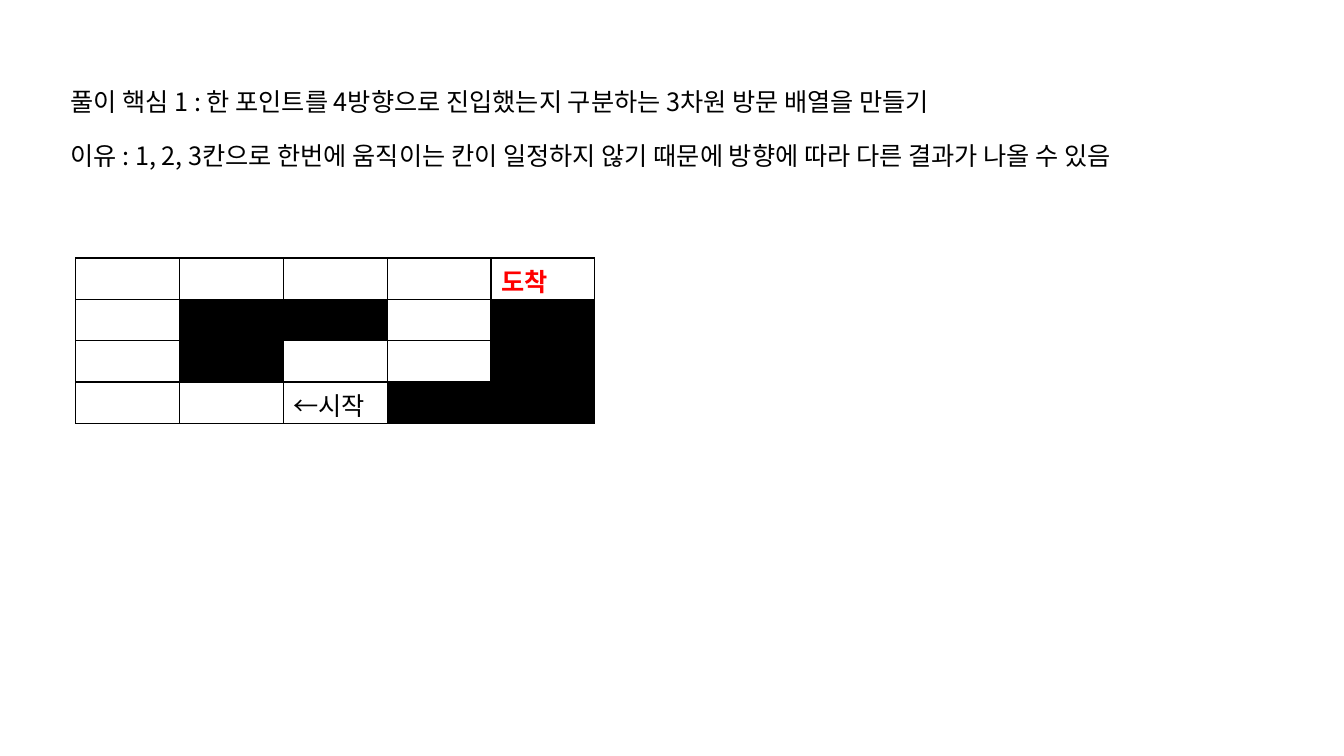
from lxml.etree import SubElement
from pptx import Presentation
from pptx.dml.color import RGBColor
from pptx.enum.text import MSO_AUTO_SIZE
from pptx.oxml.ns import qn
from pptx.util import Inches, Pt

FONT = "Noto Sans CJK KR"
COLORS = {"open": "FFFFFF", "wall": "000000", "text": "000000", "goal": "FF0000"}
EXPLANATION = [
    "풀이 핵심 1 : 한 포인트를 4방향으로 진입했는지 구분하는 3차원 방문 배열을 만들기",
    "이유 : 1, 2, 3칸으로 한번에 움직이는 칸이 일정하지 않기 때문에 방향에 따라 다른 결과가 나올 수 있음",
]
MAZE = [
    "....G",
    ".##.#",
    ".#..#",
    "..S##",
]
MARKS = {"G": ("도착", "goal", True), "S": ("←시작", "text", False)}
CELL_WIDTH, CELL_HEIGHT = Inches(1.03), Inches(0.41)


def add_text(paragraph, text, color="text", bold=False):
    run = paragraph.add_run()
    run.text = text
    run.font.size = Pt(18)
    run.font.bold = bold
    run.font.color.rgb = RGBColor.from_string(COLORS[color])
    run.font.name = FONT
    SubElement(run.font._element, qn("a:ea"), typeface=FONT)


def add_borders(cell):
    properties = cell._tc.get_or_add_tcPr()
    for position, side in enumerate(("lnL", "lnR", "lnT", "lnB")):
        line = SubElement(properties, qn(f"a:{side}"), w=str(Pt(1)))
        fill = SubElement(line, qn("a:solidFill"))
        SubElement(fill, qn("a:srgbClr"), val=COLORS["wall"])
        properties.insert(position, line)


presentation = Presentation()
presentation.slide_width, presentation.slide_height = Inches(13.33), Inches(7.5)
slide = presentation.slides.add_slide(presentation.slide_layouts[6])

explanation = slide.shapes.add_textbox(
    Inches(0.6), Inches(0.81), Inches(12.13), Inches(1.01)
).text_frame
explanation.word_wrap = True
explanation.auto_size = MSO_AUTO_SIZE.SHAPE_TO_FIT_TEXT
for index, sentence in enumerate(EXPLANATION):
    paragraph = explanation.add_paragraph() if index else explanation.paragraphs[0]
    paragraph.space_before = Pt(17 if index else 0)
    add_text(paragraph, sentence)

rows, columns = len(MAZE), len(MAZE[0])
maze = slide.shapes.add_table(
    rows, columns, Inches(0.75), Inches(2.56), CELL_WIDTH * columns, CELL_HEIGHT * rows
).table
maze.first_row = maze.horz_banding = False
for column in maze.columns:
    column.width = CELL_WIDTH
for row, squares in zip(maze.rows, MAZE):
    row.height = CELL_HEIGHT
    for cell, square in zip(row.cells, squares):
        cell.margin_top, cell.margin_bottom = Inches(0.04), 0
        cell.fill.solid()
        cell.fill.fore_color.rgb = RGBColor.from_string(
            COLORS["wall" if square == "#" else "open"]
        )
        add_borders(cell)
        if square in MARKS:
            add_text(cell.text_frame.paragraphs[0], *MARKS[square])

presentation.save("out.pptx")
